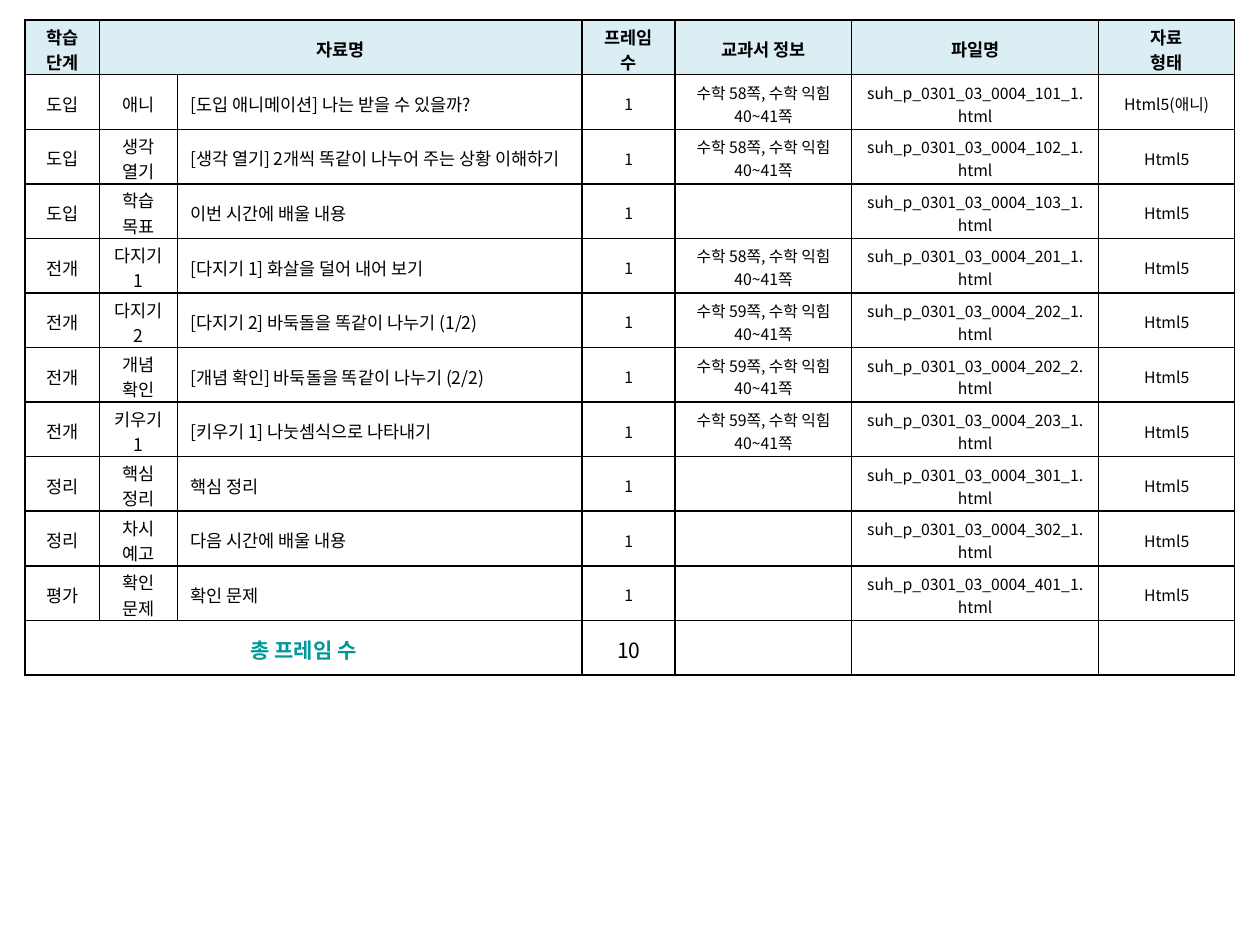
from dataclasses import dataclass

from lxml.etree import SubElement
from pptx import Presentation
from pptx.dml.color import RGBColor as RGB
from pptx.enum.text import MSO_ANCHOR as ANCHOR, PP_ALIGN as ALIGN
from pptx.oxml.ns import qn
from pptx.util import Inches, Pt


@dataclass(frozen=True)
class Theme:
    """Colours, font and type sizes of the slide."""
    font: str = "Noto Sans CJK KR"
    ink: str = "000000"
    accent: str = "009999"
    header: str = "DBEEF4"
    white: str = "FFFFFF"
    body: int = 10
    small: int = 9
    total: int = 12
    border: int = 1


T = Theme()
COL_WIDTHS = [0.59, 0.62, 3.21, 0.74, 1.4, 1.96, 1.08]
TABLE_HEIGHT = 5.2
HEADERS = ["학습 단계", "자료명", "", "프레임 수", "교과서 정보", "파일명", "자료\n형태"]
LESSONS = [
    ("도입", "애니", "[도입 애니메이션] 나는 받을 수 있을까?", 58, "101_1", "Html5(애니)"),
    ("도입", "생각 열기", "[생각 열기] 2개씩 똑같이 나누어 주는 상황 이해하기", 58, "102_1", "Html5"),
    ("도입", "학습 목표", "이번 시간에 배울 내용", None, "103_1", "Html5"),
    ("전개", "다지기 1", "[다지기 1] 화살을 덜어 내어 보기", 58, "201_1", "Html5"),
    ("전개", "다지기 2", "[다지기 2] 바둑돌을 똑같이 나누기 (1/2)", 59, "202_1", "Html5"),
    ("전개", "개념 확인", "[개념 확인] 바둑돌을 똑같이 나누기 (2/2)", 59, "202_2", "Html5"),
    ("전개", "키우기1", "[키우기 1] 나눗셈식으로 나타내기", 59, "203_1", "Html5"),
    ("정리", "핵심 정리", "핵심 정리", None, "301_1", "Html5"),
    ("정리", "차시 예고", "다음 시간에 배울 내용", None, "302_1", "Html5"),
    ("평가", "확인 문제", "확인 문제", None, "401_1", "Html5"),
]


def write(tf, text, size=T.body, color=T.ink, bold=False, align=ALIGN.CENTER):
    """Write each line of text as a formatted paragraph."""
    for i, line in enumerate(text.split("\n")):
        p = tf.add_paragraph() if i else tf.paragraphs[0]
        p.alignment = align
        r = p.add_run()
        r.text = line
        r.font.size, r.font.bold, r.font.name = Pt(size), bold, T.font
        r.font.color.rgb = RGB.from_string(color)
        SubElement(r.font._element, qn("a:ea"), typeface=T.font)


def add_borders(cell):
    """Draw a solid line on every side of a cell."""
    tc_pr = cell._tc.get_or_add_tcPr()
    for i, side in enumerate(("lnL", "lnR", "lnT", "lnB")):
        ln = tc_pr.makeelement(qn(f"a:{side}"), {"w": str(Pt(T.border))})
        fill = SubElement(ln, qn("a:solidFill"))
        SubElement(fill, qn("a:srgbClr"), val=T.ink)
        tc_pr.insert(i, ln)


def format_cell(cell, fill=None):
    """Set the fill, margins, anchor and borders of a cell."""
    if fill:
        cell.fill.solid()
        cell.fill.fore_color.rgb = RGB.from_string(fill)
    else:
        cell.fill.background()
    cell.vertical_anchor = ANCHOR.MIDDLE
    cell.margin_left = cell.margin_right = Inches(0.1)
    cell.margin_top, cell.margin_bottom = Inches(0.03), 0
    add_borders(cell)


def fill_row(table, row, texts, fill=None, **fmt):
    """Format a row of cells and write the texts that are not empty."""
    for col, text in enumerate(texts):
        cell = table.cell(row, col)
        format_cell(cell, fill)
        if text:
            own = {key: value[col] if isinstance(value, list) else value
                   for key, value in fmt.items()}
            write(cell.text_frame, text, **own)


def add_plan_table(s):
    """Add the table of lesson materials with its header and total."""
    rows = len(LESSONS) + 2
    frame = s.shapes.add_table(rows, len(COL_WIDTHS), Inches(0.2), Inches(0.16),
                               Inches(sum(COL_WIDTHS)), Inches(TABLE_HEIGHT))
    table = frame.table
    table.first_row = table.horz_banding = False
    for col, width in zip(table.columns, COL_WIDTHS):
        col.width = Inches(width)
    for row in table.rows:
        row.height = Inches(TABLE_HEIGHT / rows)

    fill_row(table, 0, HEADERS, T.header, bold=True)
    sizes = [T.body] * 3 + [T.small] * 4
    aligns = [ALIGN.CENTER] * 2 + [ALIGN.LEFT] + [ALIGN.CENTER] * 4
    for i, (stage, step, title, page, code, kind) in enumerate(LESSONS, 1):
        book = f"수학 {page}쪽, 수학 익힘 40~41쪽" if page else ""
        texts = [stage, step, title, "1", book, f"suh_p_0301_03_0004_{code}.html", kind]
        fill_row(table, i, texts, T.white if i == len(LESSONS) else None,
                 size=sizes, align=aligns)
    last = rows - 1
    fill_row(table, last, ["총 프레임 수", "", "", str(len(LESSONS)), "", "", ""], T.white,
             size=T.total, color=[T.accent] * 3 + [T.ink] * 4,
             bold=[True] * 3 + [False] * 4)
    table.cell(0, 1).merge(table.cell(0, 2))
    table.cell(last, 0).merge(table.cell(last, 2))


def main():
    """Build the slide and save it."""
    prs = Presentation()
    prs.slide_width, prs.slide_height = Inches(10), Inches(7.5)
    s = prs.slides.add_slide(prs.slide_layouts[6])
    add_plan_table(s)
    prs.save("out.pptx")


if __name__ == "__main__":
    main()
